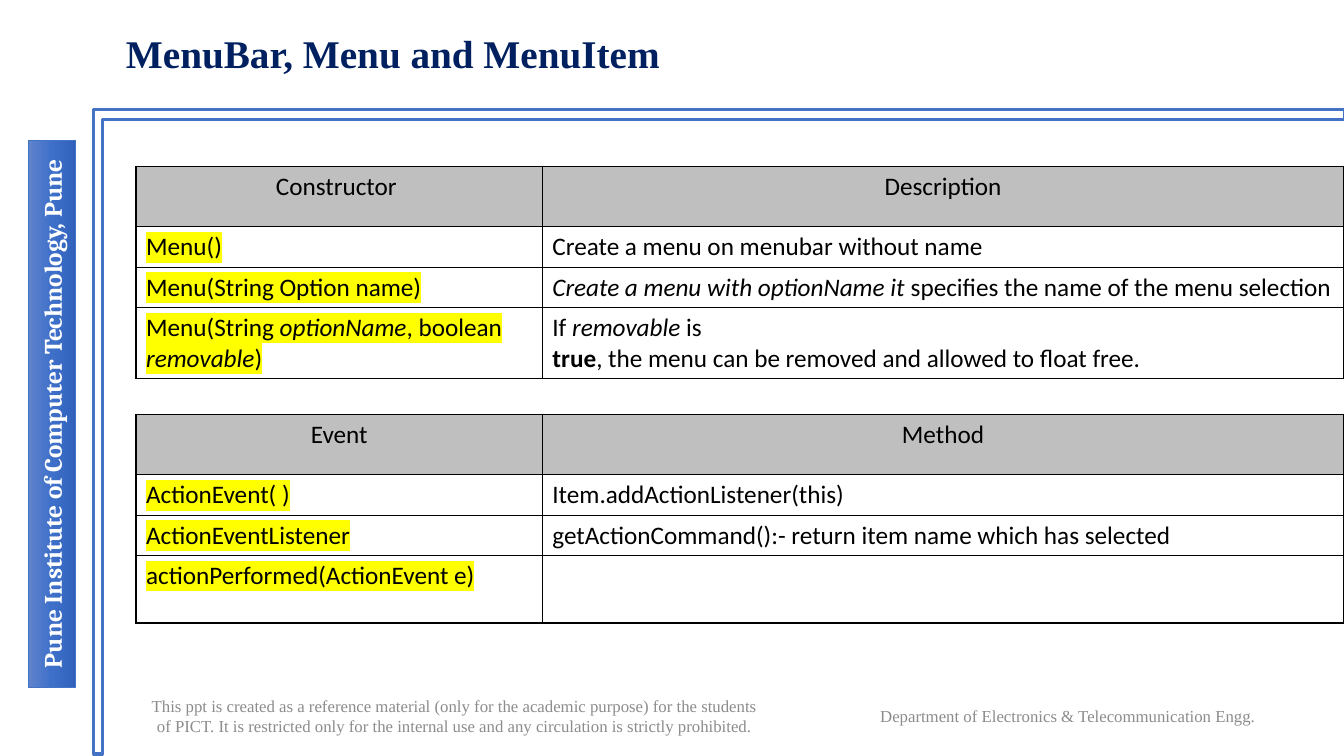
"""Build the slide on Menu constructors and their events."""
from copy import deepcopy

from lxml import etree
from pptx import Presentation
from pptx import util as u
from pptx.dml import color
from pptx.enum import shapes, text
from pptx.oxml import ns

COLORS = {"navy": "002060", "blue": "4472C4", "light": "6183CB", "mid": "3E70CA",
          "deep": "3062BB", "grey": "8C8C8C", "header": "BFBFBF",
          "yellow": "FFFF00", "black": "000000", "white": "FFFFFF"}
FOOTER = {"name": "Times New Roman", "size": u.Pt(12), "color": "grey"}
TITLE = {"name": "Times New Roman", "size": u.Pt(28), "color": "navy", "bold": True}
SIDEBAR = {"name": "Cambria", "size": u.Pt(18), "color": "white", "bold": True}
CELL = {"name": "Calibri", "size": u.Pt(18), "color": "black"}
STYLES = {"": {}, "i": {"italic": True}, "b": {"bold": True}}
CENTER, LEFT = text.PP_ALIGN.CENTER, text.PP_ALIGN.LEFT

COLUMNS = (290.2, 572.4)
ROWS = (43.2, 28.1, 28.1, 48.2)
CONSTRUCTORS = [
    ("Constructor ", "Description"),
    ("Menu()", "Create a menu on menubar without name"),
    ("Menu(String Option name)",
     [[("Create a menu with optionName it ", "i"),
       ("specifies the name of the menu selection", "")]]),
    ([[("Menu(String ", ""), ("optionName", "i"), (", boolean ", ""),
       ("removable", "i"), (")", "")]],
     [[("If ", ""), ("removable ", "i"), ("is", "")],
      [("true", "b"), (", the menu can be removed and allowed to float free.", "")]]),
]
EVENTS = [
    ("Event", "Method"),
    ("ActionEvent( )", "Item.addActionListener(this)"),
    ("ActionEventListener", "getActionCommand():- return item name which has selected"),
    ("actionPerformed(ActionEvent e)", ""),
]


def rgb(name):
    """Return the named colour."""
    return color.RGBColor.from_string(COLORS[name])


def points(*lengths):
    """Convert lengths in points."""
    return [u.Pt(length) for length in lengths]


def add_element(parent, tag, **attributes):
    """Append a drawing element to its parent."""
    return etree.SubElement(parent, ns.qn(tag), attributes)


def add_color(parent, name):
    """Append a plain colour element."""
    add_element(parent, "a:srgbClr", val=COLORS[name])


def write_span(para, words, format_values, highlight=None):
    """Add one formatted run to a paragraph."""
    span = para.add_run()
    span.text = words
    for key, value in format_values.items():
        if key == "color":
            span.font.color.rgb = rgb(value)
        else:
            setattr(span.font, key, value)
    if highlight:
        mark = etree.Element(ns.qn("a:highlight"))
        add_color(mark, highlight)
        span.font._element.find(ns.qn("a:solidFill")).addnext(mark)


def write_line(box, words, format_values, align=CENTER):
    """Write one wrapped, vertically centred paragraph."""
    frame = box.text_frame
    frame.word_wrap = True
    frame.vertical_anchor = text.MSO_ANCHOR.MIDDLE
    para = frame.paragraphs[0]
    para.alignment = align
    write_span(para, words, format_values)
    return para


def add_block(page, kind, place, line_width, turn):
    """Add a turned shape with a blue outline."""
    block = page.shapes.add_shape(kind, *points(*place))
    block.shadow.inherit = False
    block.rotation = turn
    block.line.color.rgb = rgb("blue")
    block.line.width = u.Pt(line_width)
    return block


def add_frame(page):
    """Add the corner outline around the content."""
    frame = add_block(page, shapes.MSO_SHAPE.CORNER, (283.7, -138.2, 460, 893.5), 2.25, 90)
    frame.adjustments[0] = 0.013
    frame.adjustments[1] = 0.015
    frame.fill.solid()
    frame.fill.fore_color.rgb = rgb("white")


def add_sidebar(page):
    """Add the vertical band with the institute's name."""
    band = add_block(page, shapes.MSO_SHAPE.RECTANGLE, (-158.4, 278.6, 391, 33.8), 0.5, 270)
    band.fill.gradient()
    band.fill.gradient_angle = 270
    first = band._element.spPr.find(".//" + ns.qn("a:gs"))
    middle = deepcopy(first)
    middle.set("pos", "50000")
    first.addnext(middle)
    for stop, name in zip(band.fill.gradient_stops, ("light", "mid", "deep")):
        stop.color.rgb = rgb(name)
    write_line(band, "Pune Institute of Computer Technology, Pune", SIDEBAR)


def add_title(page, words):
    """Fill and place the title."""
    title = page.shapes.title
    title.left, title.top, title.width, title.height = points(82.8, 17.3, 808.6, 44.6)
    write_line(title, words, TITLE, LEFT).line_spacing = 0.9


def add_footer(page, place, words):
    """Add a grey footer text."""
    write_line(page.shapes.add_textbox(*points(*place)), words, FOOTER)


def add_borders(cell):
    """Draw thin black lines on all sides of a cell."""
    properties = cell._tc.get_or_add_tcPr()
    for index, side in enumerate("LRTB"):
        line = etree.Element(ns.qn("a:ln" + side), w=str(u.Pt(1)))
        add_color(add_element(line, "a:solidFill"), "black")
        properties.insert(index, line)


def fill_cell(cell, content, header, highlight):
    """Format a cell and write its paragraphs."""
    if header:
        cell.fill.solid()
        cell.fill.fore_color.rgb = rgb("header")
    else:
        cell.fill.background()
    add_borders(cell)
    paragraphs = [[(content, "")]] if isinstance(content, str) else content
    for index, spans in enumerate(paragraphs):
        frame = cell.text_frame
        para = frame.add_paragraph() if index else frame.paragraphs[0]
        para.alignment = CENTER if header else LEFT
        for words, style in spans:
            if words:
                write_span(para, words, {**CELL, **STYLES[style]}, highlight)


def add_grid(page, top, content):
    """Add a two-column table with a grey header."""
    place = points(97.2, top, sum(COLUMNS), sum(ROWS))
    table = page.shapes.add_table(len(ROWS), len(COLUMNS), *place).table
    table.first_row = table.horz_banding = False
    for column, width in zip(table.columns, COLUMNS):
        column.width = u.Pt(width)
    for row, (height, values) in enumerate(zip(ROWS, content)):
        table.rows[row].height = u.Pt(height)
        for column, value in enumerate(values):
            marked = "yellow" if row and column == 0 else None
            fill_cell(table.cell(row, column), value, row == 0, marked)


def main():
    """Build and save the deck."""
    deck = Presentation()
    deck.slide_width, deck.slide_height = points(960, 540)
    page = deck.slides.add_slide(deck.slide_layouts.get_by_name("Title Only"))
    add_frame(page)
    add_sidebar(page)
    add_title(page, "MenuBar, Menu and MenuItem")
    add_footer(page, (95.8, 491, 457.9, 41),
               "This ppt is created as a reference material (only for the academic purpose) "
               "for the students of PICT. It is restricted only for the internal use and any "
               "circulation is strictly prohibited.")
    add_footer(page, (583.2, 498.2, 362.2, 25.9),
               "Department of Electronics & Telecommunication Engg. ")
    add_grid(page, 118.8, CONSTRUCTORS)
    add_grid(page, 295.9, EVENTS)
    deck.save("out.pptx")


if __name__ == "__main__":
    main()
